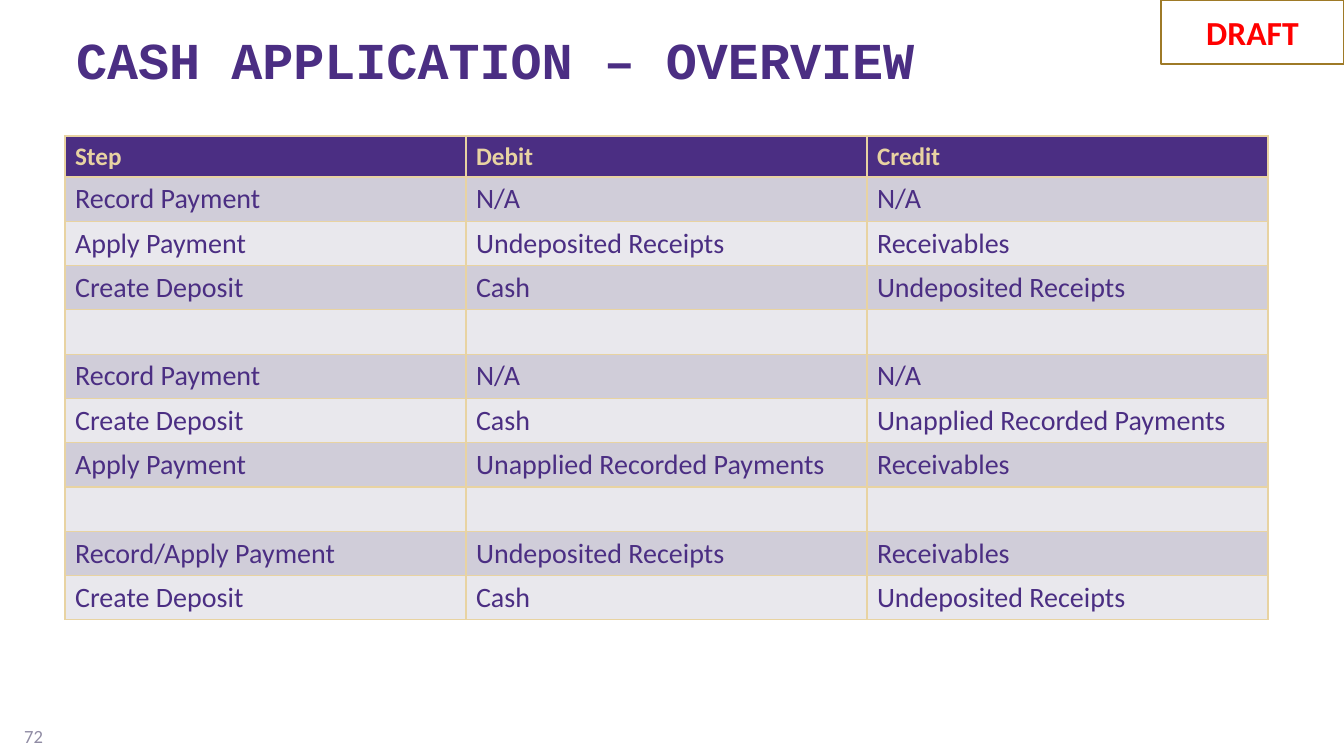
from dataclasses import dataclass

from lxml import etree
from pptx import Presentation
from pptx import util as u
from pptx.dml.color import RGBColor
from pptx.enum import shapes, text
from pptx.oxml import ns


@dataclass(frozen=True)
class Theme:
    purple: str = "4B2E83"
    gold: str = "E8D3A2"
    dark_gold: str = "9E7A27"
    band_dark: str = "D0CDD9"
    band_light: str = "E9E8ED"
    grey: str = "908CA4"
    red: str = "FF0000"
    white: str = "FFFFFF"
    body_font: str = "Calibri"
    title_font: str = "Courier New"
    title_size: float = 37
    stamp_size: float = 24
    header_size: float = 18
    body_size: float = 20
    number_size: float = 13.3
    border_width: float = 1
    stamp_line: float = 2


THEME = Theme()
PX_PER_INCH = 100.8
ENTRIES = [
    ("Step", "Debit", "Credit"),
    ("Record Payment", "N/A", "N/A"),
    ("Apply Payment", "Undeposited Receipts", "Receivables"),
    ("Create Deposit", "Cash", "Undeposited Receipts"),
    ("", "", ""),
    ("Record Payment", "N/A", "N/A"),
    ("Create Deposit", "Cash", "Unapplied Recorded Payments"),
    ("Apply Payment", "Unapplied Recorded Payments", "Receivables"),
    ("", "", ""),
    ("Record/Apply Payment", "Undeposited Receipts", "Receivables"),
    ("Create Deposit", "Cash", "Undeposited Receipts"),
]


def px(length):
    return u.Emu(round(length * u.Inches(1) / PX_PER_INCH))


def rgb(color):
    return RGBColor.from_string(color)


def write(frame, content, size, color, bold=False, font=THEME.body_font,
          align=text.PP_ALIGN.LEFT):
    frame.text = content
    frame.word_wrap = True
    frame.vertical_anchor = text.MSO_ANCHOR.MIDDLE
    style_paragraph(frame.paragraphs[0], size, color, bold, font, align)


def style_paragraph(paragraph, size, color, bold, font=THEME.body_font,
                    align=text.PP_ALIGN.LEFT):
    paragraph.alignment = align
    for run in paragraph.runs:
        run.font.name = font
        run.font.size = u.Pt(size)
        run.font.bold = bold
        run.font.color.rgb = rgb(color)


def add_title(slide, box):
    title = slide.shapes.title
    title.left, title.top, title.width, title.height = map(px, box)
    write(title.text_frame, "CASH APPLICATION – OVERVIEW", THEME.title_size,
          THEME.purple, True, THEME.title_font)


def add_stamp(slide, box):
    stamp = slide.shapes.add_shape(shapes.MSO_SHAPE.RECTANGLE, *map(px, box))
    stamp.shadow.inherit = False
    stamp.fill.solid()
    stamp.fill.fore_color.rgb = rgb(THEME.white)
    stamp.line.color.rgb = rgb(THEME.dark_gold)
    stamp.line.width = u.Pt(THEME.stamp_line)
    write(stamp.text_frame, "DRAFT", THEME.stamp_size, THEME.red, True,
          align=text.PP_ALIGN.CENTER)


def add_page_number(slide, box):
    number = slide.shapes.add_textbox(*map(px, box))
    write(number.text_frame, "72", THEME.number_size, THEME.grey,
          align=text.PP_ALIGN.RIGHT)


def add_borders(cell):
    properties = cell._tc.get_or_add_tcPr()
    for side in ("lnL", "lnR", "lnT", "lnB"):
        line = etree.SubElement(properties, ns.qn(f"a:{side}"),
                                w=str(u.Pt(THEME.border_width)))
        fill = etree.SubElement(line, ns.qn("a:solidFill"))
        etree.SubElement(fill, ns.qn("a:srgbClr"), val=THEME.gold)


def add_entries_table(slide, box, header_height):
    left, top, width, height = box
    row_count, column_count = len(ENTRIES), len(ENTRIES[0])
    table = slide.shapes.add_table(row_count, column_count, *map(px, box)).table
    for column in table.columns:
        column.width = px(width / column_count)
    body_height = (height - header_height) / (row_count - 1)
    for row_index, entry in enumerate(ENTRIES):
        header = row_index == 0
        table.rows[row_index].height = px(header_height if header else body_height)
        band = THEME.band_dark if row_index % 2 else THEME.band_light
        for column_index, content in enumerate(entry):
            cell = table.cell(row_index, column_index)
            add_borders(cell)
            cell.fill.solid()
            cell.fill.fore_color.rgb = rgb(THEME.purple if header else band)
            cell.text = content
            style_paragraph(cell.text_frame.paragraphs[0],
                            THEME.header_size if header else THEME.body_size,
                            THEME.gold if header else THEME.purple, header)


def build_overview_slide(presentation, box):
    left, top, width, height = box
    slide = presentation.slides.add_slide(presentation.slide_layouts[5])
    add_page_number(slide, (left, top + height - 40, 53, 40))
    add_stamp(slide, (left + width - 183, top, 183, 64))
    add_title(slide, (left + 66, top + 27, 1202, 64))
    add_entries_table(slide, (left + 65, top + 136, 1203, 484), 41)


def main():
    presentation = Presentation()
    width, height = 1344, 756
    presentation.slide_width = px(width)
    presentation.slide_height = px(height)
    build_overview_slide(presentation, (0, 0, width, height))
    presentation.save("out.pptx")


if __name__ == "__main__":
    main()
